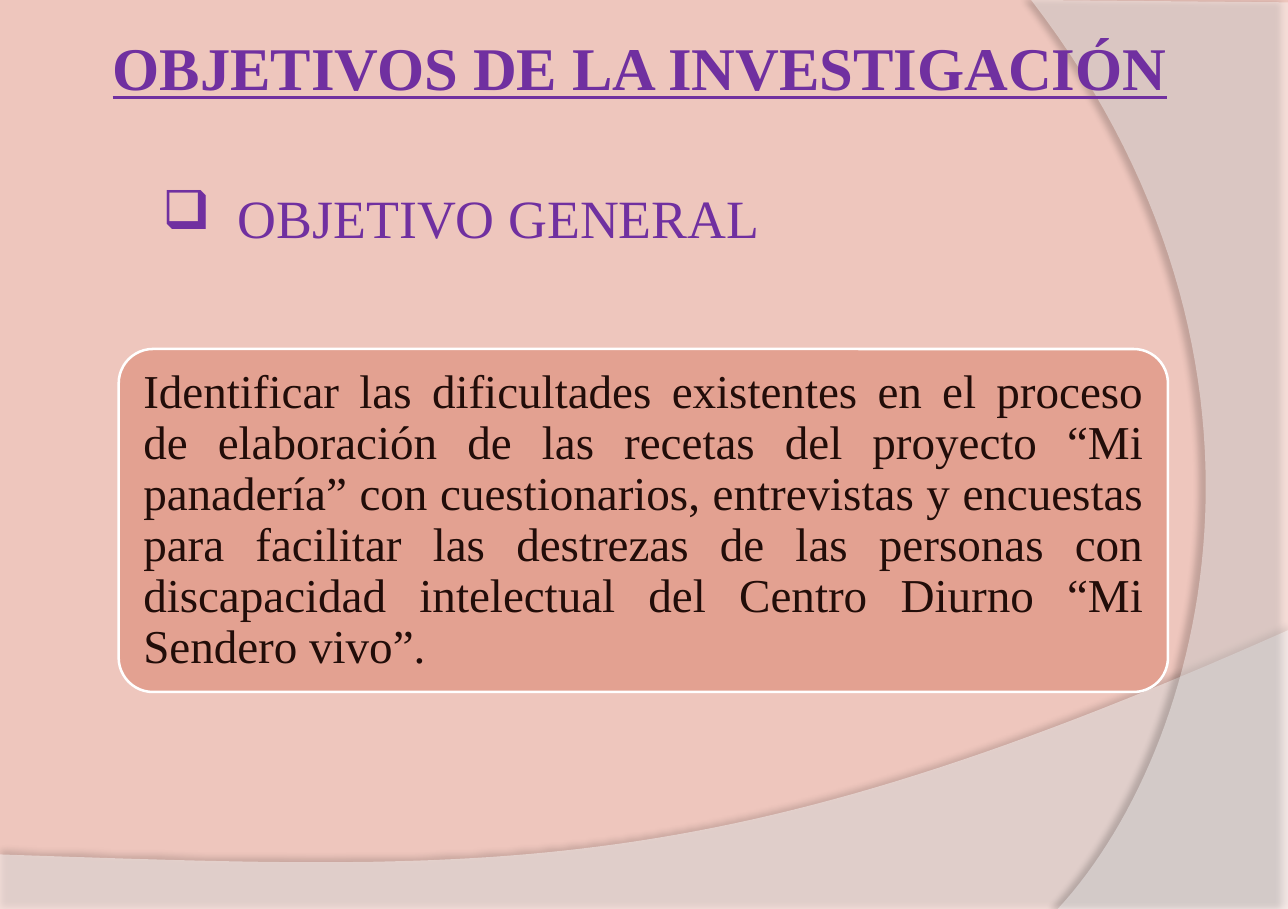
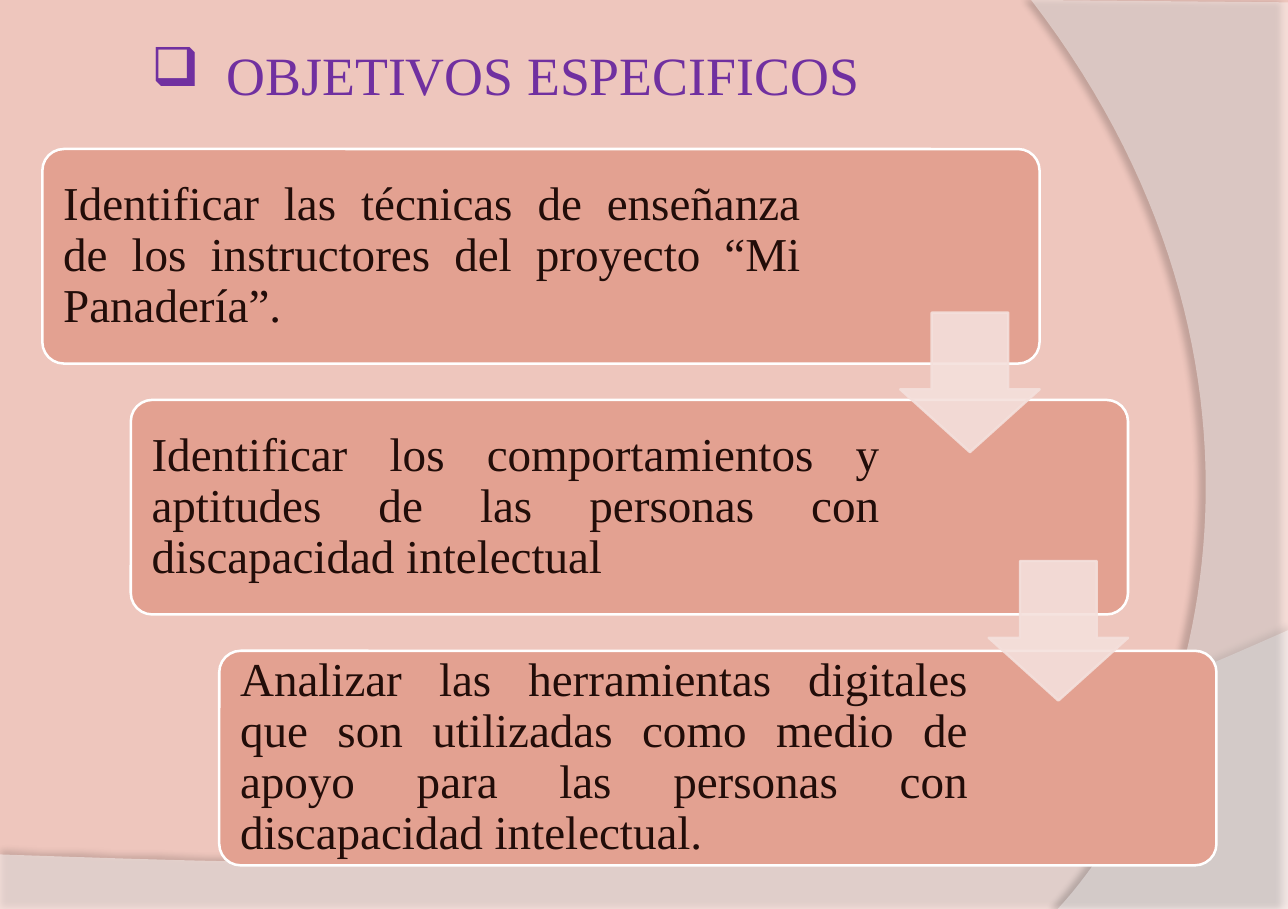
from lxml.etree import SubElement
from pptx import Presentation
from pptx.dml.color import RGBColor
from pptx.enum.shapes import MSO_SHAPE as Preset
from pptx.enum.text import MSO_ANCHOR as Anchor, MSO_AUTO_SIZE as AutoSize, PP_ALIGN as Align
from pptx.oxml.ns import qn
from pptx.util import Inches, Pt

WIDTH, HEIGHT = 10.63, 7.5
FONT = "Times New Roman"
COLORS = {
    "background": "EEC6BD",
    "heading": "7030A0",
    "card": "E3A191",
    "text": "220D09",
    "arrow": "F4E0DC",
    "white": "FFFFFF",
    "shadow": "000000",
}

TITLE = "OBJETIVOS DE LA INVESTIGACIÓN"
GENERAL_HEADING = "OBJETIVO GENERAL "
GENERAL_GOAL = (
    "Identificar las dificultades existentes en el proceso de elaboración de las "
    "recetas del proyecto “Mi panadería” con cuestionarios, entrevistas y encuestas "
    "para facilitar las destrezas de las personas con discapacidad intelectual del "
    "Centro Diurno “Mi Sendero vivo”."
)
SPECIFIC_HEADING = "OBJETIVOS ESPECIFICOS"
SPECIFIC_GOALS = [
    "Identificar las técnicas de enseñanza de los instructores del proyecto “Mi Panadería”.",
    "Identificar los comportamientos y aptitudes de las personas con discapacidad intelectual",
    "Analizar las herramientas digitales que son utilizadas como medio de apoyo para las "
    "personas con discapacidad intelectual.",
]

# Each wave: straight corners, then a Bézier curve from the last corner
# (two control points and an end point), and its shadow in points and degrees.
WAVES = [
    {
        "corners": [(0, 7.05), (0, 7.51), (10.63, 7.51), (10.63, 5.2)],
        "curve": [(5.94, 7.29), (4.15, 7.19), (0, 7.05)],
        "opacity": 45,
        "shadow": {"opacity": 35, "blur": 4, "distance": 3.5, "angle": 270},
    },
    {
        "corners": [(10.63, 0.02), (10.63, 7.5), (8.73, 7.5)],
        "curve": [(9.94, 6.19), (10.82, 3), (8.51, 0)],
        "opacity": 40,
        "shadow": {"opacity": 45, "blur": 4, "distance": 4, "angle": 180},
    },
]

CARD_INSET = 0.12
CARD_SIZE = (8.23, 1.77)
FIRST_CARD, CARD_STEP = (0.35, 1.23), (0.73, 2.07)
ARROW_SIZE, ARROW_TOP, ARROW_STEP = 1.15, 2.58, 2.05


def rgb(name):
    return RGBColor.from_string(COLORS[name])


def set_opacity(fill_parent, percent):
    color = fill_parent.find(qn("a:solidFill"))[0]
    SubElement(color, qn("a:alpha"), val=str(percent * 1000))


def paint(shape, fill, line=None):
    shape.shadow.inherit = False
    shape.fill.solid()
    shape.fill.fore_color.rgb = rgb(fill)
    if line:
        shape.line.color.rgb = rgb(line)
        shape.line.width = Pt(1.5)
    else:
        shape.line.fill.background()


def place(shape, left, top, width, height):
    shape.left, shape.top = Inches(left), Inches(top)
    shape.width, shape.height = Inches(width), Inches(height)


def write(shape, text, size, color, align, anchor):
    frame = shape.text_frame
    frame.auto_size = AutoSize.NONE
    frame.word_wrap = True
    frame.vertical_anchor = anchor
    para = frame.paragraphs[0]
    para.alignment = align
    span = para.add_run()
    span.text = text
    span.font.name = FONT
    span.font.size = Pt(size)
    span.font.color.rgb = rgb(color)
    return para


def bezier(points, steps=60):
    """Points along a cubic curve, without its start."""
    for step in range(1, steps + 1):
        t = step / steps
        weights = ((1 - t) ** 3, 3 * t * (1 - t) ** 2, 3 * t * t * (1 - t), t ** 3)
        yield tuple(sum(w * p[axis] for w, p in zip(weights, points)) for axis in (0, 1))


def add_wave(slide, wave):
    corners = wave["corners"]
    outline = corners + list(bezier([corners[-1], *wave["curve"]]))
    points = [(Inches(x), Inches(y)) for x, y in outline]
    builder = slide.shapes.build_freeform(*points[0])
    builder.add_line_segments(points[1:], close=True)
    shape = builder.convert_to_shape()
    paint(shape, "white")
    properties = shape.element.spPr
    set_opacity(properties, wave["opacity"])
    shadow = wave["shadow"]
    outer = SubElement(
        properties.find(qn("a:effectLst")), qn("a:outerShdw"),
        blurRad=str(Pt(shadow["blur"])), dist=str(Pt(shadow["distance"])),
        dir=str(shadow["angle"] * 60000), algn="ctr", rotWithShape="0")
    color = SubElement(outer, qn("a:srgbClr"), val=COLORS["shadow"])
    SubElement(color, qn("a:alpha"), val=str(shadow["opacity"] * 1000))
    return shape


def decorate_master(deck, slide):
    """Draw the waves on a slide, then move them behind everything on the master."""
    master = deck.slide_master
    master.background.fill.solid()
    master.background.fill.fore_color.rgb = rgb("background")
    for index, wave in enumerate(WAVES):
        master.element.cSld.spTree.insert(2 + index, add_wave(slide, wave).element)


def write_heading(shape, text, left, top):
    place(shape, left, top, 7.95, 0.95)
    para = write(shape, text, 32, "heading", Align.CENTER, Anchor.TOP)
    properties = para._p.get_or_add_pPr()
    properties.set("marL", str(Inches(0.62)))
    properties.set("indent", str(-Inches(0.62)))
    SubElement(properties, qn("a:buChar"), char="❑")


def add_card(slide, text, left, top, width, height, right_inset=CARD_INSET):
    card = slide.shapes.add_shape(Preset.ROUNDED_RECTANGLE, 0, 0, 0, 0)
    place(card, left, top, width, height)
    card.adjustments[0] = 0.1
    paint(card, "card", "white")
    frame = card.text_frame
    frame.margin_left = frame.margin_top = frame.margin_bottom = Inches(CARD_INSET)
    frame.margin_right = Inches(right_inset)
    write(card, text, 28, "text", Align.JUSTIFY, Anchor.MIDDLE).line_spacing = 0.9


def add_arrow(slide, left, top):
    arrow = slide.shapes.add_shape(Preset.DOWN_ARROW, 0, 0, 0, 0)
    place(arrow, left, top, ARROW_SIZE, ARROW_SIZE)
    arrow.adjustments[0], arrow.adjustments[1] = 0.55, 0.45
    paint(arrow, "arrow", "arrow")
    properties = arrow.element.spPr
    set_opacity(properties, 90)
    set_opacity(properties.find(qn("a:ln")), 90)


def fill_general_slide(slide):
    title = slide.shapes.title
    place(title, 0.75, 0.2, 9.06, 1.4)
    font = write(title, TITLE, 36, "heading", Align.CENTER, Anchor.TOP).runs[0].font
    font.bold = font.underline = True
    write_heading(slide.shapes.add_textbox(0, 0, 0, 0), GENERAL_HEADING, -0.12, 1.47)
    add_card(slide, GENERAL_GOAL, 0.98, 2.88, 8.66, 2.83)


def fill_specific_slide(slide):
    write_heading(slide.shapes.title, SPECIFIC_HEADING, 0.2, 0.29)
    lefts = [FIRST_CARD[0] + CARD_STEP[0] * index for index in range(len(SPECIFIC_GOALS))]
    for index, (left, goal) in enumerate(zip(lefts, SPECIFIC_GOALS)):
        top = FIRST_CARD[1] + CARD_STEP[1] * index
        add_card(slide, goal, left, top, *CARD_SIZE, right_inset=2 if index else 1.92)
    for index, left in enumerate(lefts[:-1]):
        add_arrow(slide, left + CARD_SIZE[0] - ARROW_SIZE, ARROW_TOP + ARROW_STEP * index)


def main():
    deck = Presentation()
    deck.slide_width, deck.slide_height = Inches(WIDTH), Inches(HEIGHT)
    title_only = deck.slide_layouts[5]
    general, specific = (deck.slides.add_slide(title_only) for _ in range(2))
    decorate_master(deck, general)
    fill_general_slide(general)
    fill_specific_slide(specific)
    deck.save("out.pptx")


if __name__ == "__main__":
    main()
